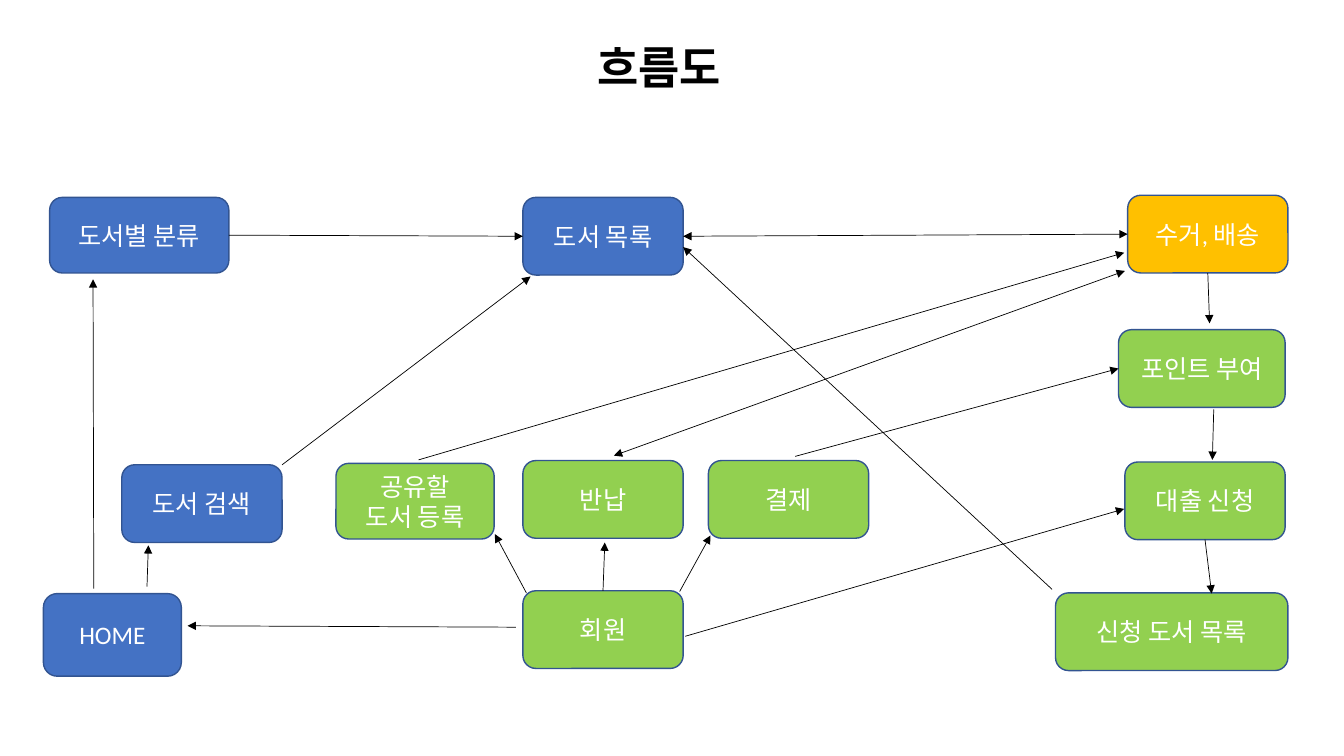
from lxml import etree
from pptx import Presentation
from pptx.dml.color import RGBColor
from pptx.enum.shapes import MSO_CONNECTOR, MSO_SHAPE
from pptx.enum.text import MSO_ANCHOR, PP_ALIGN
from pptx.oxml.ns import qn
from pptx.util import Pt

STRAIGHT = MSO_CONNECTOR.STRAIGHT
ROUNDED = MSO_SHAPE.ROUNDED_RECTANGLE
CENTER = PP_ALIGN.CENTER
MIDDLE, BOTTOM = MSO_ANCHOR.MIDDLE, MSO_ANCHOR.BOTTOM
TOP_SIDE, LEFT_SIDE, BOTTOM_SIDE, RIGHT_SIDE = range(4)

BLUE = RGBColor(0x44, 0x72, 0xC4)
GREEN = RGBColor(0x92, 0xD0, 0x50)
ORANGE = RGBColor(0xFF, 0xC0, 0x00)
OUTLINE = RGBColor(0x32, 0x54, 0x91)
BLACK = RGBColor(0, 0, 0)
WHITE = RGBColor(0xFF, 0xFF, 0xFF)
KOREAN_FONT, LATIN_FONT = "Noto Sans CJK KR", "Calibri"

TITLE = "흐름도"
WIDTH, HEIGHT = 114.5, 55.5
CENTER_COLUMN = 373.5

BOXES = {
    "home": ("HOME", BLUE, 31, 424, 98.5, 59),
    "member": ("회원", GREEN, CENTER_COLUMN, 422, WIDTH, HEIGHT),
    "category": ("도서별 분류", BLUE, 35.5, 141, 128, 54),
    "search": ("도서 검색", BLUE, 87, 332, WIDTH, HEIGHT),
    "books": ("도서 목록", BLUE, CENTER_COLUMN, 141, WIDTH, HEIGHT),
    "loan": ("대출 신청", GREEN, 803.5, 330, WIDTH, HEIGHT),
    "requests": ("신청 도서 목록", GREEN, 754, 423.5, 166, HEIGHT),
    "delivery": ("수거, 배송", ORANGE, 805.5, 139.5, WIDTH, HEIGHT),
    "share": ("공유할\n도서 등록", GREEN, 240, 331, 113, 54),
    "return": ("반납", GREEN, CENTER_COLUMN, 329, WIDTH, HEIGHT),
    "points": ("포인트 부여", GREEN, 799, 235.5, 119, HEIGHT),
    "payment": ("결제", GREEN, 506, 329, WIDTH, HEIGHT),
}

ONE_WAY = [
    (("category", RIGHT_SIDE), ("books", LEFT_SIDE)),
    (("delivery", BOTTOM_SIDE), (864, 231)),
    (("loan", BOTTOM_SIDE), (865.5, 424)),
    (("member", TOP_SIDE), (432, 387.5)),
    ((568, 326), ("points", LEFT_SIDE)),
    ((67, 420.5), (66.5, 199.5)),
    ((201.5, 332), (379, 197.5)),
    ((368.5, 448), (134, 447)),
    ((299, 328.5), (803, 180.5)),
    ((485.5, 422.5), (507.5, 382.5)),
    ((105, 419), (106, 389.5)),
    ((751.5, 421), (488, 176.5)),
    ((376, 423.5), (353.5, 381.5)),
    ((867, 292.5), (866, 328.5)),
    ((489.5, 454.5), (803, 363.5)),
]
TWO_WAY = [
    (("books", RIGHT_SIDE), ("delivery", LEFT_SIDE)),
    ((438.5, 325.5), (803.5, 193.5)),
]


def write_text(shape, text, *, size, color, font, bold=False, anchor=MIDDLE, spacing=1.0):
    frame = shape.text_frame
    frame.word_wrap = True
    frame.vertical_anchor = anchor
    frame.text = text
    for paragraph in frame.paragraphs:
        paragraph.alignment = CENTER
        paragraph.line_spacing = spacing
        for run in paragraph.runs:
            run.font.size = Pt(size)
            run.font.bold = bold
            run.font.color.rgb = color
            run.font.name = font
            east_asian = etree.SubElement(run.font._element, qn("a:ea"))
            east_asian.set("typeface", KOREAN_FONT)


def add_box(slide, text, fill, *bounds):
    shape = slide.shapes.add_shape(ROUNDED, *map(Pt, bounds))
    shape.shadow.inherit = False
    shape.fill.solid()
    shape.fill.fore_color.rgb = fill
    shape.line.color.rgb = OUTLINE
    shape.line.width = Pt(1)
    write_text(shape, text, size=18, color=WHITE, font=LATIN_FONT)
    return shape


def add_arrow(slide, boxes, begin, end, ends):
    points = [(0, 0) if place[0] in boxes else place for place in (begin, end)]
    arrow = slide.shapes.add_connector(STRAIGHT, *(Pt(value) for point in points for value in point))
    for place, connect in ((begin, arrow.begin_connect), (end, arrow.end_connect)):
        if place[0] in boxes:
            connect(boxes[place[0]], place[1])
    arrow.line.color.rgb = BLACK
    arrow.line.width = Pt(0.5)
    line = arrow.line._get_or_add_ln()
    for tag in ends:
        etree.SubElement(line, qn(tag)).set("type", "triangle")
    etree.SubElement(arrow._element.spPr, qn("a:effectLst"))


def main():
    presentation = Presentation()
    presentation.slide_width, presentation.slide_height = Pt(960), Pt(540)
    slide = presentation.slides.add_slide(presentation.slide_layouts[6])
    title = slide.shapes.add_textbox(Pt(111), Pt(20), Pt(720), Pt(51))
    write_text(title, TITLE, size=32, color=BLACK, font=KOREAN_FONT, bold=True, anchor=BOTTOM, spacing=0.9)
    boxes = {name: add_box(slide, *box) for name, box in BOXES.items()}
    for begin, end in ONE_WAY:
        add_arrow(slide, boxes, begin, end, ["a:tailEnd"])
    for begin, end in TWO_WAY:
        add_arrow(slide, boxes, begin, end, ["a:headEnd", "a:tailEnd"])
    presentation.save("out.pptx")


if __name__ == "__main__":
    main()
